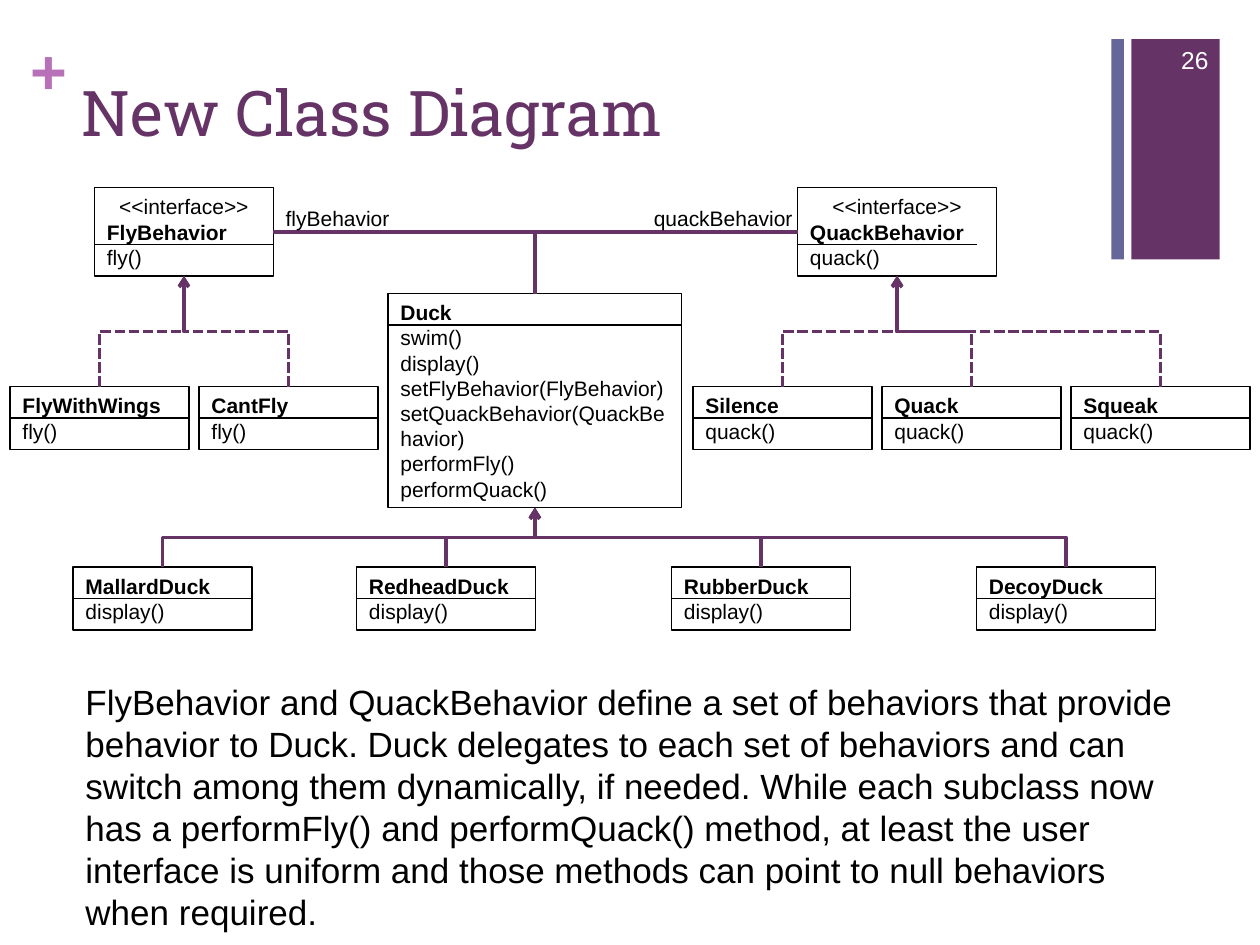
from collections import namedtuple
from dataclasses import dataclass

from pptx import Presentation
from pptx.dml.color import RGBColor
from pptx.enum.dml import MSO_LINE
from pptx.enum.shapes import MSO_CONNECTOR as Link, MSO_SHAPE as Preset
from pptx.enum.text import MSO_ANCHOR as Anchor, MSO_AUTO_SIZE as AutoSize, PP_ALIGN as Align
from pptx.oxml.ns import qn
from pptx.util import Inches, Pt

Box = namedtuple("Box", "left top width height")


@dataclass(frozen=True)
class Theme:
    plum: RGBColor = RGBColor(0x66, 0x33, 0x66)
    orchid: RGBColor = RGBColor(0xB8, 0x70, 0xB8)
    slate: RGBColor = RGBColor(0x66, 0x66, 0x99)
    ink: RGBColor = RGBColor(0, 0, 0)
    paper: RGBColor = RGBColor(0xFF, 0xFF, 0xFF)
    heading_font: str = "Roboto Slab"
    body_font: str = "Arial"
    title_size: int = 36
    body_size: int = 20
    number_size: int = 14
    label_size: int = 12


THEME = Theme()
TOP, LEFT, BOTTOM, RIGHT = range(4)  # connection sites of a rectangle
CLASS_WIDTH, CLASS_HEIGHT = 1.42, 0.5
SUMMARY = (
    "FlyBehavior and QuackBehavior define a set of behaviors that provide "
    "behavior to Duck. Duck delegates to each set of behaviors and can switch "
    "among them dynamically, if needed. While each subclass now has a "
    "performFly() and performQuack() method, at least the user interface is "
    "uniform and those methods can point to null behaviors when required."
)


def place(box):
    return [Inches(length) for length in box]


def write(frame, lines, size=THEME.label_size, color=THEME.ink, font=THEME.body_font,
          align=Align.LEFT, anchor=Anchor.TOP, bold_line=None, centered_line=None,
          wrap=True, inset=(0.1, 0.05)):
    """Fill a text frame with one paragraph per line."""
    frame.word_wrap = wrap
    if not wrap:
        frame.auto_size = AutoSize.SHAPE_TO_FIT_TEXT
    frame.vertical_anchor = anchor
    frame.margin_left = frame.margin_right = Inches(inset[0])
    frame.margin_top = frame.margin_bottom = Inches(inset[1])
    for index, line in enumerate(lines):
        paragraph = frame.paragraphs[0] if index == 0 else frame.add_paragraph()
        paragraph.alignment = Align.CENTER if index == centered_line else align
        run = paragraph.add_run()
        run.text = line
        run.font.name, run.font.size = font, Pt(size)
        run.font.color.rgb = color
        run.font.bold = index == bold_line


def add_text(slide, box, text, **style):
    write(slide.shapes.add_textbox(*place(box)).text_frame, [text], **style)


def add_rectangle(slide, box, fill, outline=None):
    rectangle = slide.shapes.add_shape(Preset.RECTANGLE, *place(box))
    rectangle.shadow.inherit = False
    rectangle.fill.solid()
    rectangle.fill.fore_color.rgb = fill
    if outline is None:
        rectangle.line.fill.background()
    else:
        rectangle.line.color.rgb = outline
        rectangle.line.width = Pt(0.75)
    return rectangle


def add_line(slide, kind, ends, color, width):
    line = slide.shapes.add_connector(kind, *ends)
    properties = line.element.spPr
    line.line.color.rgb = color
    line.line.width = Pt(width)
    properties.append(properties.makeelement(qn("a:effectLst"), {}))
    return line


def site(shape, side):
    """Point at the middle of one side of a shape."""
    x, y = shape.left + shape.width // 2, shape.top + shape.height // 2
    return {TOP: (x, shape.top), BOTTOM: (x, shape.top + shape.height),
            LEFT: (shape.left, y), RIGHT: (shape.left + shape.width, y)}[side]


def link_up(slide, source, target, side, dashed=False):
    """Bent line that leaves the top of source and rises to a side of target."""
    x1, y1 = site(source, TOP)
    x2, y2 = site(target, side)
    link = add_line(slide, Link.ELBOW, (x1, y1, x2, y2), THEME.plum, 2)
    link.begin_connect(source, TOP)
    link.end_connect(target, side)

    # The preset runs sideways, so turn it a quarter about its centre
    run, rise = abs(x2 - x1), abs(y1 - y2)
    link.left, link.top = (x1 + x2 - rise) // 2, (y1 + y2 - run) // 2
    link.width, link.height = rise, run
    properties = link.element.spPr
    turn = properties.find(qn("a:xfrm"))
    for flip in ("flipH", "flipV"):
        turn.attrib.pop(flip, None)
    turn.set("rot", str(270 * 60000))
    if x2 < x1:
        turn.set("flipV", "1")

    if dashed:
        link.line.dash_style = MSO_LINE.SQUARE_DOT
    if side == BOTTOM:
        outline = properties.find(qn("a:ln"))
        outline.append(outline.makeelement(qn("a:tailEnd"), {"type": "arrow"}))
    else:
        properties.find(qn("a:prstGeom")).set("prst", "bentConnector2")


def add_class(slide, box, name, methods, interface=False):
    """UML class box with a rule under its name."""
    card = add_rectangle(slide, box, THEME.paper, THEME.ink)
    heading = ["<<interface>>", name] if interface else [name]
    write(card.text_frame, heading + methods, bold_line=len(heading) - 1,
          centered_line=0 if interface else None)
    rule_width = CLASS_WIDTH if interface else box.width
    rule_y = box.top + (0.45 if interface else 0.25)
    ends = place((box.left, rule_y, box.left + rule_width, rule_y))
    add_line(slide, Link.STRAIGHT, ends, THEME.ink, 1)
    return card


def add_subclasses(slide, parent, names, lefts, top, method, dashed=False):
    """Row of classes, each linked to the parent above."""
    for name, left in zip(names, lefts):
        child = add_class(slide, Box(left, top, CLASS_WIDTH, CLASS_HEIGHT), name, [method])
        link_up(slide, child, parent, BOTTOM, dashed)


def add_header(slide, box):
    """Title, plus mark and page number band."""
    add_rectangle(slide, Box(box.left + 8.98, box.top + 0.31, 0.7, 1.75), THEME.plum)
    add_rectangle(slide, Box(box.left + 8.82, box.top + 0.31, 0.1, 1.75), THEME.slate)
    add_text(slide, Box(box.left + 0.24, box.top + 0.25, 0.28, 0.6), "+",
             size=THEME.title_size, color=THEME.orchid, align=Align.CENTER,
             bold_line=0, inset=(0, 0))
    title = slide.shapes.title
    title.left, title.top, title.width, title.height = place(
        Box(box.left + 0.55, box.top + 0.53, 8.26, 1.22))
    write(title.text_frame, ["New Class Diagram"], size=THEME.title_size,
          color=THEME.plum, font=THEME.heading_font)
    add_text(slide, Box(box.left + 9.08, box.top + 0.27, 0.61, 0.4), "26",
             size=THEME.number_size, color=THEME.paper, align=Align.RIGHT,
             anchor=Anchor.MIDDLE)


def add_diagram(slide, box):
    """Duck, its behavior interfaces and all their subclasses."""
    x, y = box.left, box.top
    fly = add_class(slide, Box(x + 0.67, y, CLASS_WIDTH, 0.7),
                    "FlyBehavior", ["fly()"], interface=True)
    quack = add_class(slide, Box(x + 6.25, y, 1.58, 0.7),
                      "QuackBehavior", ["quack()"], interface=True)
    duck = add_class(slide, Box(x + 3, y + 0.84, 2.33, 1.7), "Duck", [
        "swim()", "display()", "setFlyBehavior(FlyBehavior)",
        "setQuackBehavior(QuackBehavior)", "performFly()", "performQuack()"])

    # Duck's two associations
    link_up(slide, duck, quack, LEFT)
    link_up(slide, duck, fly, RIGHT)
    for name, left, width in (("flyBehavior", 2.08, 1.04), ("quackBehavior", 5, 1.32)):
        add_text(slide, Box(x + left, y + 0.09, width, 0.3), name,
                 align=Align.CENTER, wrap=False)

    # Behaviors sit on an even pitch either side of Duck
    pitch, behavior_top = 1.5, y + 1.58
    add_subclasses(slide, fly, ["FlyWithWings", "CantFly"],
                   [x + pitch * i for i in range(2)], behavior_top, "fly()", dashed=True)
    add_subclasses(slide, quack, ["Silence", "Quack", "Squeak"],
                   [x + 5.42 + pitch * i for i in range(3)], behavior_top, "quack()",
                   dashed=True)
    add_subclasses(slide, duck, ["MallardDuck", "RedheadDuck", "RubberDuck", "DecoyDuck"],
                   [x + left for left in (0.5, 2.75, 5.25, 7.67)], y + 3.01, "display()")


def main():
    deck = Presentation()
    deck.slide_width, deck.slide_height = Inches(10), Inches(7.5)
    slide = deck.slides.add_slide(deck.slide_layouts[5])
    add_header(slide, Box(0, 0, 10, 2.06))
    add_text(slide, Box(0.58, 5.35, 9, 2.1), SUMMARY, size=THEME.body_size)
    add_diagram(slide, Box(0.08, 1.49, 9.84, 3.51))
    deck.save("out.pptx")


if __name__ == "__main__":
    main()
